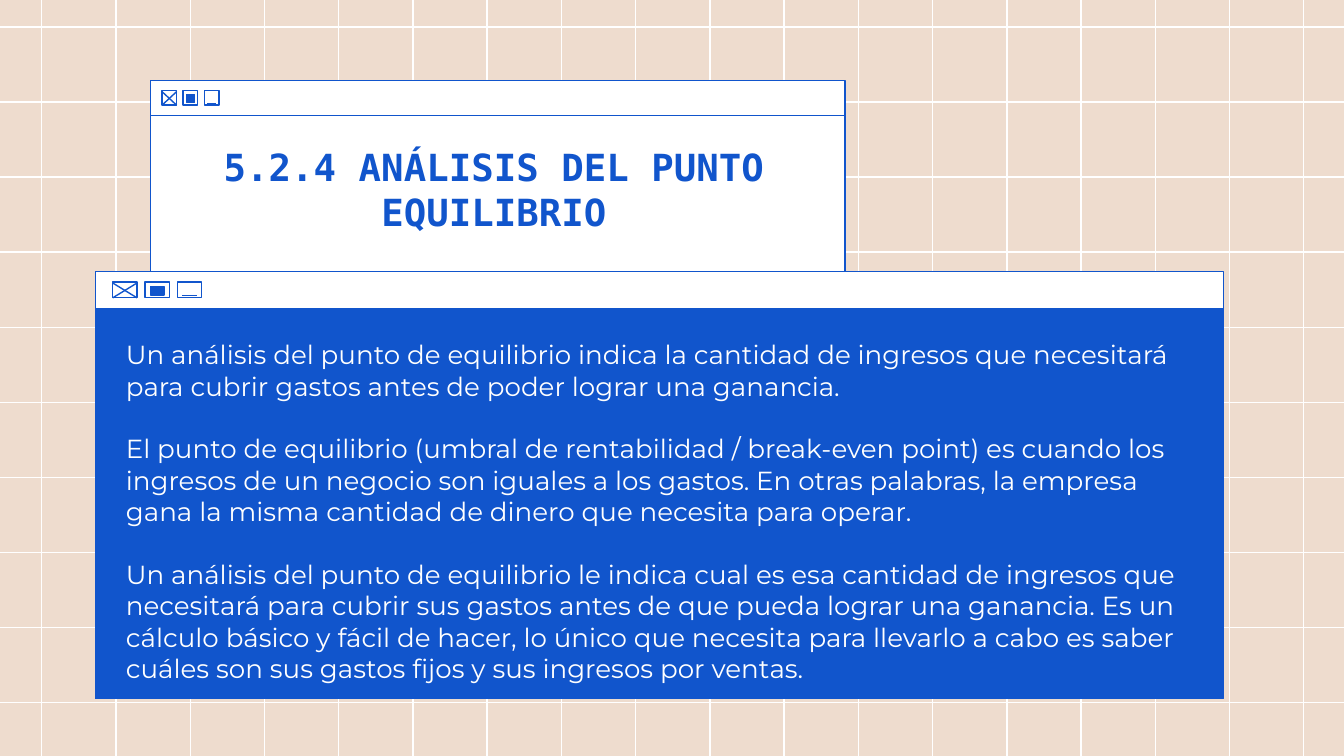
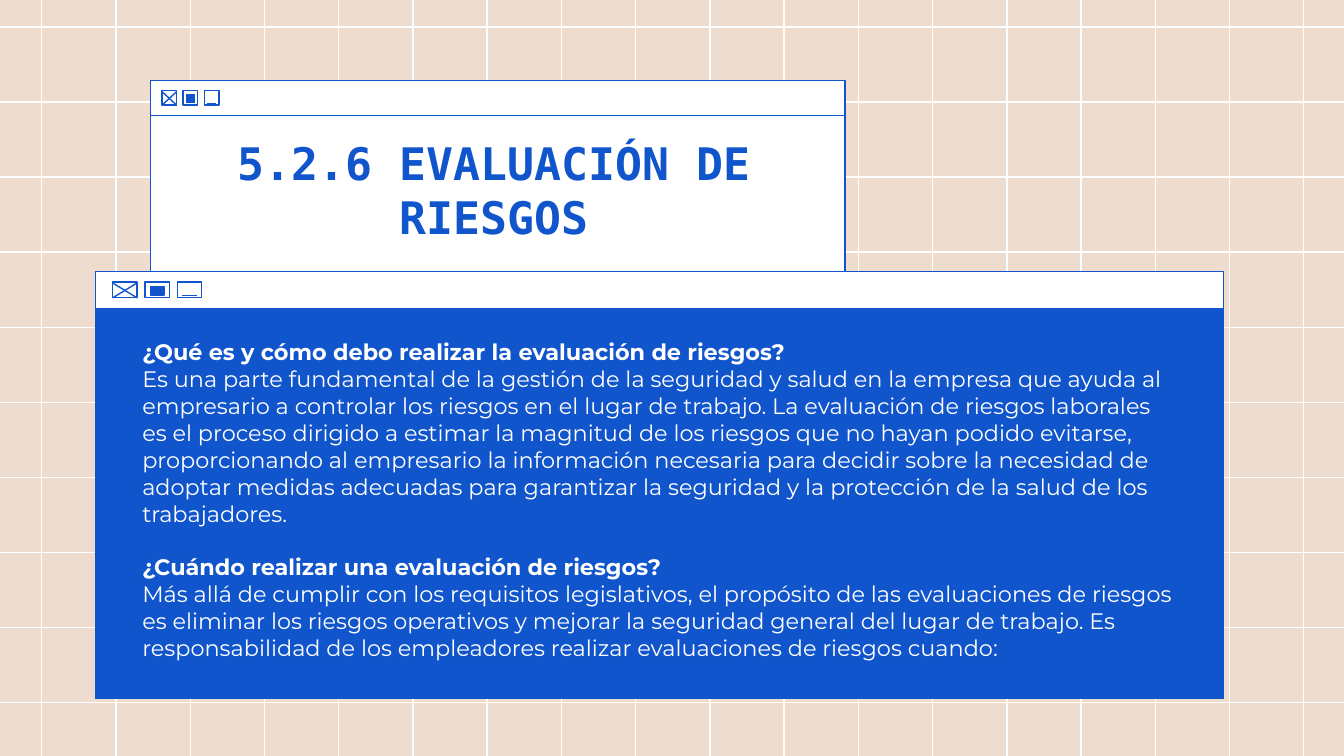
from lxml.etree import SubElement
from pptx import Presentation
from pptx.dml.color import RGBColor
from pptx.enum.shapes import MSO_CONNECTOR, MSO_SHAPE
from pptx.enum.text import MSO_ANCHOR, PP_ALIGN
from pptx.oxml.ns import qn
from pptx.util import Cm, Pt

WIDTH, HEIGHT = 25.4, 14.29
COLOURS = {"sand": "EEDCCE", "white": "FFFFFF", "blue": "1155CC"}
TITLE_FONT = "DejaVu Sans Mono"
BODY_FONT = "Montserrat"
STROKE = Pt(0.75)

BREAK_EVEN = [
    ("Un análisis del punto de equilibrio indica la cantidad de ingresos que necesitará "
     "para cubrir gastos antes de poder lograr una ganancia.", False, 16.8),
    ("El punto de equilibrio (umbral de rentabilidad / break-even point) es cuando los "
     "ingresos de un negocio son iguales a los gastos. En otras palabras, la empresa gana "
     "la misma cantidad de dinero que necesita para operar.", False, 16.8),
    ("Un análisis del punto de equilibrio le indica cual es esa cantidad de ingresos que "
     "necesitará para cubrir sus gastos antes de que pueda lograr una ganancia. Es un "
     "cálculo básico y fácil de hacer, lo único que necesita para llevarlo a cabo es saber "
     "cuáles son sus gastos fijos y sus ingresos por ventas.", False, 0),
]
RISKS = [
    ("¿Qué es y cómo debo realizar la evaluación de riesgos?", True, 0),
    ("Es una parte fundamental de la gestión de la seguridad y salud en la empresa que "
     "ayuda al empresario a controlar los riesgos en el lugar de trabajo. La evaluación de "
     "riesgos laborales es el proceso dirigido a estimar la magnitud de los riesgos que no "
     "hayan podido evitarse, proporcionando al empresario la información necesaria para "
     "decidir sobre la necesidad de adoptar medidas adecuadas para garantizar la seguridad "
     "y la protección de la salud de los trabajadores.", False, 14.4),
    ("¿Cuándo realizar una evaluación de riesgos?", True, 0),
    ("Más allá de cumplir con los requisitos legislativos, el propósito de las evaluaciones "
     "de riesgos es eliminar los riesgos operativos y mejorar la seguridad general del lugar "
     "de trabajo. Es responsabilidad de los empleadores realizar evaluaciones de riesgos "
     "cuando:", False, 0),
]


def colour(name):
    return RGBColor.from_string(COLOURS[name])


def spread(first, last, count):
    return [first + (last - first) * i / (count - 1) for i in range(count)]


def add_line(slide, x1, y1, x2, y2, ink="blue"):
    line = slide.shapes.add_connector(
        MSO_CONNECTOR.STRAIGHT, Cm(x1), Cm(y1), Cm(x2), Cm(y2))
    line.line.color.rgb = colour(ink)
    line.line.width = STROKE
    SubElement(line._element.spPr, qn("a:effectLst"))


def add_panel(slide, left, top, width, height, fill=None):
    panel = slide.shapes.add_shape(
        MSO_SHAPE.RECTANGLE, Cm(left), Cm(top), Cm(width), Cm(height))
    panel.shadow.inherit = False
    panel.line.color.rgb = colour("blue")
    panel.line.width = STROKE
    if fill:
        panel.fill.solid()
        panel.fill.fore_color.rgb = colour(fill)
    else:
        panel.fill.background()


def add_grid(slide):
    for x in spread(0.79, 24.64, 18):
        add_line(slide, x, 0, x, HEIGHT, "white")
    for y in spread(0.51, 13.28, 10):
        add_line(slide, WIDTH, y, 0, y, "white")


def add_buttons(slide, left, top, width, height, step):
    close, maximise, minimise = (left + step * i for i in range(3))
    for x in (close, maximise, minimise):
        add_panel(slide, x, top, width, height)
    cross_top, cross_bottom = top + 0.02, top + height
    add_line(slide, close, cross_top, close + width, cross_bottom)
    add_line(slide, close + width, cross_top, close, cross_bottom)
    add_panel(slide, maximise + width * 0.23, top + height * 0.27,
              width * 0.55, height * 0.55, "blue")
    dash_y = top + height * 0.87
    add_line(slide, minimise + width * 0.2, dash_y, minimise + width * 0.82, dash_y)


def add_window(slide, left, top, width, bar_height, body_height, body_fill):
    add_panel(slide, left, top + bar_height, width, body_height, body_fill)
    add_panel(slide, left, top, width, bar_height, "white")


def add_frame(slide, left, top, width, height):
    frame = slide.shapes.add_textbox(
        Cm(left), Cm(top), Cm(width), Cm(height)).text_frame
    frame.word_wrap = True
    frame.margin_left = frame.margin_right = Cm(0.25)
    frame.margin_top = frame.margin_bottom = Cm(0.25)
    return frame


def add_run(paragraph, text, font, size, ink, bold):
    run = paragraph.add_run()
    run.text = text
    run.font.name = font
    run.font.size = Pt(size)
    run.font.bold = bold
    run.font.color.rgb = colour(ink)


def add_title(slide, text, size):
    frame = add_frame(slide, 3.38, 2.46, 11.91, 2.24)
    frame.vertical_anchor = MSO_ANCHOR.MIDDLE
    heading = frame.paragraphs[0]
    heading.alignment = PP_ALIGN.CENTER
    add_run(heading, text, TITLE_FONT, size, "blue", True)


def add_body(slide, passages, size, indent):
    frame = add_frame(slide, 2.13, 6.15, 20.4, 6.07)
    for i, (text, bold, gap) in enumerate(passages):
        passage = frame.add_paragraph() if i else frame.paragraphs[0]
        passage.alignment = PP_ALIGN.LEFT
        passage.space_after = Pt(gap)
        properties = passage._p.get_or_add_pPr()
        properties.set("marL", str(Cm(indent)))
        properties.set("indent", "0")
        add_run(passage, text, BODY_FONT, size, "white", bold)


def add_topic(deck, title, title_size, passages, body_size, indent):
    slide = deck.slides.add_slide(deck.slide_layouts[6])
    slide.background.fill.solid()
    slide.background.fill.fore_color.rgb = colour("sand")
    add_grid(slide)
    add_window(slide, 2.84, 1.52, 13.13, 0.66, 2.95, "white")
    add_buttons(slide, 3.06, 1.71, 0.28, 0.28, 0.4)
    add_window(slide, 1.8, 5.13, 21.32, 0.71, 7.37, "blue")
    add_buttons(slide, 2.13, 5.33, 0.46, 0.3, 0.61)
    add_title(slide, title, title_size)
    add_body(slide, passages, body_size, indent)


def main():
    deck = Presentation()
    deck.slide_width, deck.slide_height = Cm(WIDTH), Cm(HEIGHT)
    add_topic(deck, "5.2.4 ANÁLISIS DEL PUNTO EQUILIBRIO", 20, BREAK_EVEN, 14, 0)
    add_topic(deck, "5.2.6 EVALUACIÓN DE RIESGOS", 24, RISKS, 12, 0.31)
    deck.save("out.pptx")


if __name__ == "__main__":
    main()
